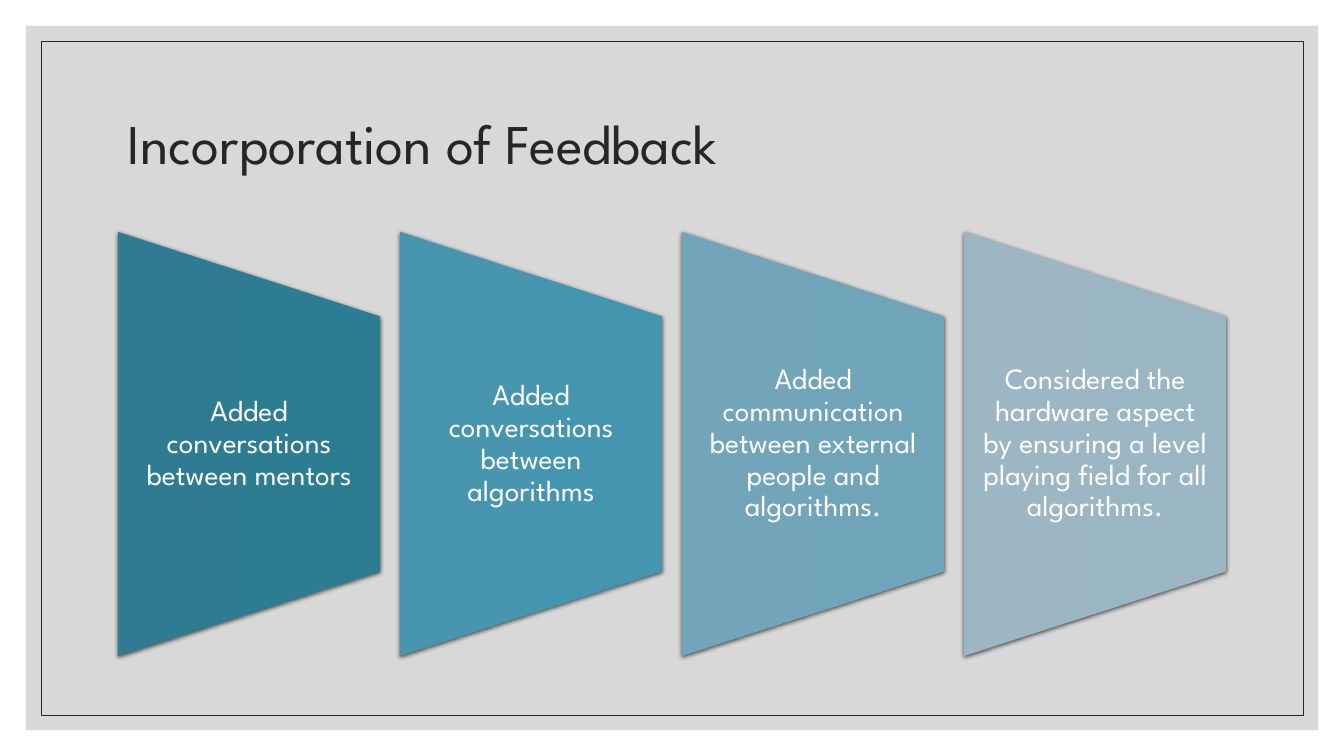
from lxml import etree
from pptx import Presentation
from pptx.dml.color import RGBColor
from pptx.enum import shapes, text
from pptx.oxml import ns
from pptx.util import Pt

FONT = "League Spartan"
GREY = RGBColor(0xBF, 0xBF, 0xBF)
DARK = RGBColor(0x26, 0x26, 0x26)
WHITE = RGBColor(0xFF, 0xFF, 0xFF)
CARDS = [
    ("Added conversations between mentors",
     RGBColor(0x2F, 0x7B, 0x91), RGBColor(0x2C, 0x7C, 0x92)),
    ("Added conversations between algorithms",
     RGBColor(0x47, 0x95, 0xAE), RGBColor(0x44, 0x95, 0xAF)),
    ("Added communication between external people and algorithms.",
     RGBColor(0x72, 0xA5, 0xB9), RGBColor(0x6F, 0xA4, 0xB9)),
    ("Considered the hardware aspect by ensuring a level playing field for all algorithms.",
     RGBColor(0x9C, 0xB7, 0xC3), RGBColor(0x99, 0xB6, 0xC2)),
]


def add_text(slide, words, box, size, color, align=text.PP_ALIGN.LEFT, inset=7.2, pad=3.6):
    """Place one middle-anchored paragraph in a box."""
    frame = slide.shapes.add_textbox(*map(Pt, box)).text_frame
    frame.word_wrap = True
    frame.vertical_anchor = text.MSO_ANCHOR.MIDDLE
    frame.margin_left = frame.margin_right = Pt(inset)
    frame.margin_top = frame.margin_bottom = Pt(pad)
    para = frame.paragraphs[0]
    para.alignment = align
    para.line_spacing = 0.9
    run = para.add_run()
    run.text = words
    run.font.name = FONT
    run.font.size = Pt(size)
    run.font.color.rgb = color


def add_child(parent, tag, **attrs):
    """Append a drawing element with its attributes."""
    return etree.SubElement(parent, ns.qn(tag), attrs)


def add_frame(slide, box, gap):
    """Draw the pale panel and the thin outline inside it."""
    x, y, w, h = box
    panel = slide.shapes.add_shape(shapes.MSO_SHAPE.RECTANGLE, *map(Pt, box))
    panel.shadow.inherit = False
    panel.fill.solid()
    panel.fill.fore_color.rgb = GREY
    panel.line.fill.background()
    tint = panel.fill._xPr.find(".//" + ns.qn("a:srgbClr"))
    add_child(tint, "a:alpha", val="60000")
    inner = (x + gap, y + gap, w - 2 * gap, h - 2 * gap)
    edge = slide.shapes.add_shape(shapes.MSO_SHAPE.RECTANGLE, *map(Pt, inner))
    edge.shadow.inherit = False
    edge.fill.background()
    edge.line.color.rgb = DARK
    edge.line.width = Pt(0.5)


def add_card(slide, box, words, start, end):
    """Draw a sideways trapezoid with its centred text."""
    x, y, w, h = box
    turned = (x + (w - h) / 2, y + (h - w) / 2, h, w)
    card = slide.shapes.add_shape(
        shapes.MSO_SHAPE.FLOWCHART_MANUAL_OPERATION, *map(Pt, turned))
    card.rotation = 270
    card.fill.gradient()
    card.fill.gradient_angle = 270
    for stop, color in zip(card.fill.gradient_stops, (start, end)):
        stop.color.rgb = color
    card.line.fill.background()
    card.shadow.inherit = False
    effects = card._element.spPr.find(ns.qn("a:effectLst"))
    shade = add_child(effects, "a:outerShdw", blurRad=str(Pt(3)), dist=str(Pt(1)),
                      dir="5400000", algn="ctr", rotWithShape="0")
    add_child(add_child(shade, "a:srgbClr", val="000000"), "a:alpha", val="63000")
    add_text(slide, words, (x, y + h / 5, w, h * 3 / 5), 21, WHITE,
             align=text.PP_ALIGN.CENTER, inset=10.5, pad=0)


def add_row(slide, box, gap):
    """Share a box out among the feedback cards."""
    x, y, w, h = box
    wide = (w - gap * (len(CARDS) - 1)) / len(CARDS)
    for i, card in enumerate(CARDS):
        add_card(slide, (x + i * (wide + gap), y, wide, h), *card)


def main():
    """Build and save the slide."""
    deck = Presentation()
    deck.slide_width, deck.slide_height = Pt(960), Pt(540)
    slide = deck.slides.add_slide(deck.slide_layouts[6])
    add_frame(slide, (18.5, 18.5, 923, 503), 10.8)
    add_text(slide, "Incorporation of Feedback", (84.2, 50.4, 792, 108), 40, DARK)
    add_row(slide, (84.2, 165.6, 791.8, 303), 14)
    deck.save("out.pptx")


if __name__ == "__main__":
    main()
